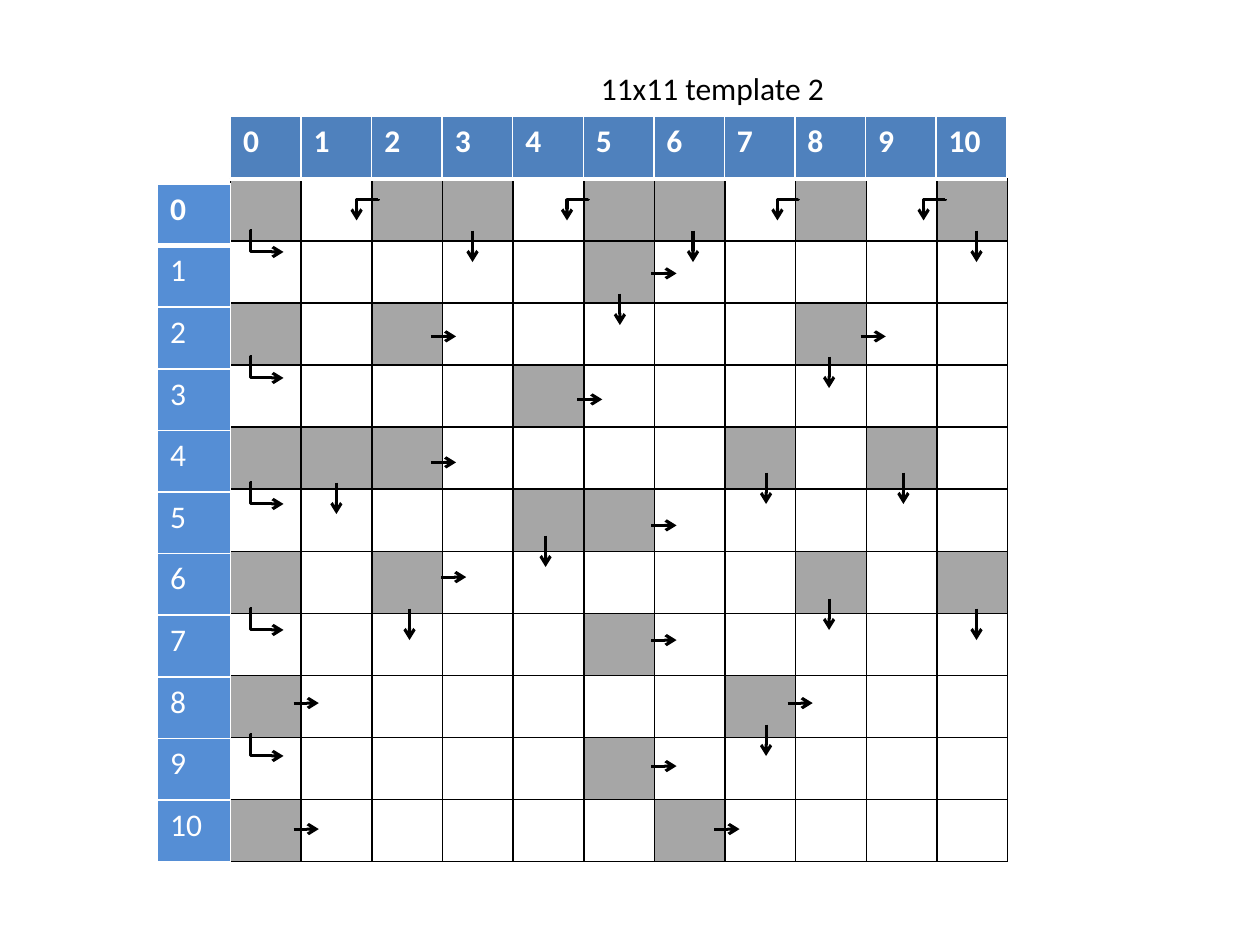
from dataclasses import dataclass

import lxml.etree
import pptx
import pptx.dml.color
import pptx.enum.shapes
import pptx.enum.text
import pptx.oxml.ns
import pptx.util

Inches = pptx.util.Inches
Pt = pptx.util.Pt
qn = pptx.oxml.ns.qn


@dataclass(frozen=True)
class Theme:
    font: str = "Calibri"
    text_size: float = 18
    black: str = "000000"
    white: str = "FFFFFF"
    blocked: str = "A6A6A6"
    column_header: str = "4F81BD"
    row_header: str = "558ED5"
    arrow_width: float = 1.75
    thin: float = 1
    thick: float = 3


@dataclass(frozen=True)
class Arrow:
    x: float
    y: float
    width: float
    height: float
    bend: int | None = None
    rotation: int = 0


THEME = Theme()
SIZE = 11
BLOCKED = [
    "#.##.##.#.#",
    ".....#.....",
    "#.#.....#..",
    "....#......",
    "###....#.#.",
    "....##.....",
    "#.#.....#.#",
    ".....#.....",
    "#......#...",
    ".....#.....",
    "#.....#....",
]
RIGHT_STARTS = [
    (5.17, 2.17), (3.42, 2.67), (6.83, 2.67), (4.58, 3.17), (3.42, 3.67),
    (5.17, 4.17), (3.5, 4.58), (5.17, 5.08), (2.33, 5.58), (6.25, 5.58),
    (5.17, 6.08), (2.33, 6.58), (5.67, 6.58),
]
DOWN_STARTS = [
    (3.75, 1.83), (5.5, 1.83), (7.75, 1.83), (4.92, 2.33), (6.58, 2.83),
    (6.08, 3.75), (7.17, 3.75), (2.67, 3.83), (4.33, 4.25), (6.58, 4.75),
    (3.25, 4.83), (7.75, 4.83), (6.08, 5.75),
]
ARROWS = (
    [Arrow(x, y, 0.2, 0) for x, y in RIGHT_STARTS]
    + [Arrow(x, y, 0, 0.25) for x, y in DOWN_STARTS]
    + [Arrow(2, 1.83 + step, 0.25, 0.17, -3900) for step in range(5)]
    + [Arrow(x, 1.58, 0.17, 0.17, 2800, 90) for x in (2.83, 4.5, 6.17, 7.33)]
)


def color(value: str) -> pptx.dml.color.RGBColor:
    return pptx.dml.color.RGBColor.from_string(value)


def add_span(para, text: str, ink: str, bold: bool = False) -> None:
    span = para.add_run()
    span.text = text
    span.font.name = THEME.font
    span.font.size = Pt(THEME.text_size)
    span.font.bold = bold
    span.font.color.rgb = color(ink)


def style_cell(cell, fill: str, border: str, top: float = THEME.thin,
               bottom: float = THEME.thin) -> None:
    properties = cell._tc.get_or_add_tcPr()
    widths = {"L": THEME.thin, "R": THEME.thin, "T": top, "B": bottom}
    for side, width in widths.items():
        line = lxml.etree.SubElement(properties, qn(f"a:ln{side}"), w=str(Pt(width)))
        solid = lxml.etree.SubElement(line, qn("a:solidFill"))
        lxml.etree.SubElement(solid, qn("a:srgbClr"), val=border)
    cell.fill.solid()
    cell.fill.fore_color.rgb = color(fill)


def add_grid(page, rows: int, columns: int, left: float, top: float,
             width: float, height: float):
    table = page.shapes.add_table(
        rows, columns, Inches(left), Inches(top), Inches(width), Inches(height)
    ).table
    table.first_row = False
    table.horz_banding = False
    return table


def add_arrow(page, arrow: Arrow) -> None:
    kinds = pptx.enum.shapes.MSO_CONNECTOR
    kind = kinds.STRAIGHT if arrow.bend is None else kinds.ELBOW
    connector = page.shapes.add_connector(
        kind, Inches(arrow.x), Inches(arrow.y),
        Inches(arrow.x + arrow.width), Inches(arrow.y + arrow.height),
    )
    connector.line.color.rgb = color(THEME.black)
    connector.line.width = Pt(THEME.arrow_width)
    properties = connector._element.spPr
    lxml.etree.SubElement(properties.find(qn("a:ln")), qn("a:tailEnd"), type="arrow")
    lxml.etree.SubElement(properties, qn("a:effectLst"))
    if arrow.rotation:
        properties.find(qn("a:xfrm")).set("rot", str(arrow.rotation * 60000))
    if arrow.bend is not None:
        guides = properties.find(qn("a:prstGeom")).find(qn("a:avLst"))
        lxml.etree.SubElement(guides, qn("a:gd"), name="adj1", fmla=f"val {arrow.bend}")


deck = pptx.Presentation()
deck.slide_width = Inches(10)
deck.slide_height = Inches(7.5)
page = deck.slides.add_slide(deck.slide_layouts[6])

board = add_grid(page, SIZE, SIZE, 1.83, 1.42, 6.17, 5.42)
for row, pattern in enumerate(BLOCKED):
    for column, mark in enumerate(pattern):
        fill = THEME.blocked if mark == "#" else THEME.white
        style_cell(board.cell(row, column), fill, THEME.black)

title = page.shapes.add_textbox(Inches(4.67), Inches(0.5), Inches(1.99), Inches(0.4))
title.text_frame.word_wrap = False
title.text_frame.auto_size = pptx.enum.text.MSO_AUTO_SIZE.SHAPE_TO_FIT_TEXT
add_span(title.text_frame.paragraphs[0], "11x11 template 2", THEME.black)

column_header = add_grid(page, 1, SIZE, 1.83, 0.92, 6.16, 0.5)
row_header = add_grid(page, SIZE, 1, 1.25, 1.46, 0.58, 5.38)
for index in range(SIZE):
    cell = column_header.cell(0, index)
    style_cell(cell, THEME.column_header, THEME.white, bottom=THEME.thick)
    add_span(cell.text_frame.paragraphs[0], str(index), THEME.white, True)

    cell = row_header.cell(index, 0)
    style_cell(
        cell, THEME.row_header, THEME.white,
        top=THEME.thick if index == 1 else THEME.thin,
        bottom=THEME.thick if index == 0 else THEME.thin,
    )
    add_span(cell.text_frame.paragraphs[0], str(index), THEME.white, index == 0)

for arrow in ARROWS:
    add_arrow(page, arrow)

deck.save("out.pptx")
